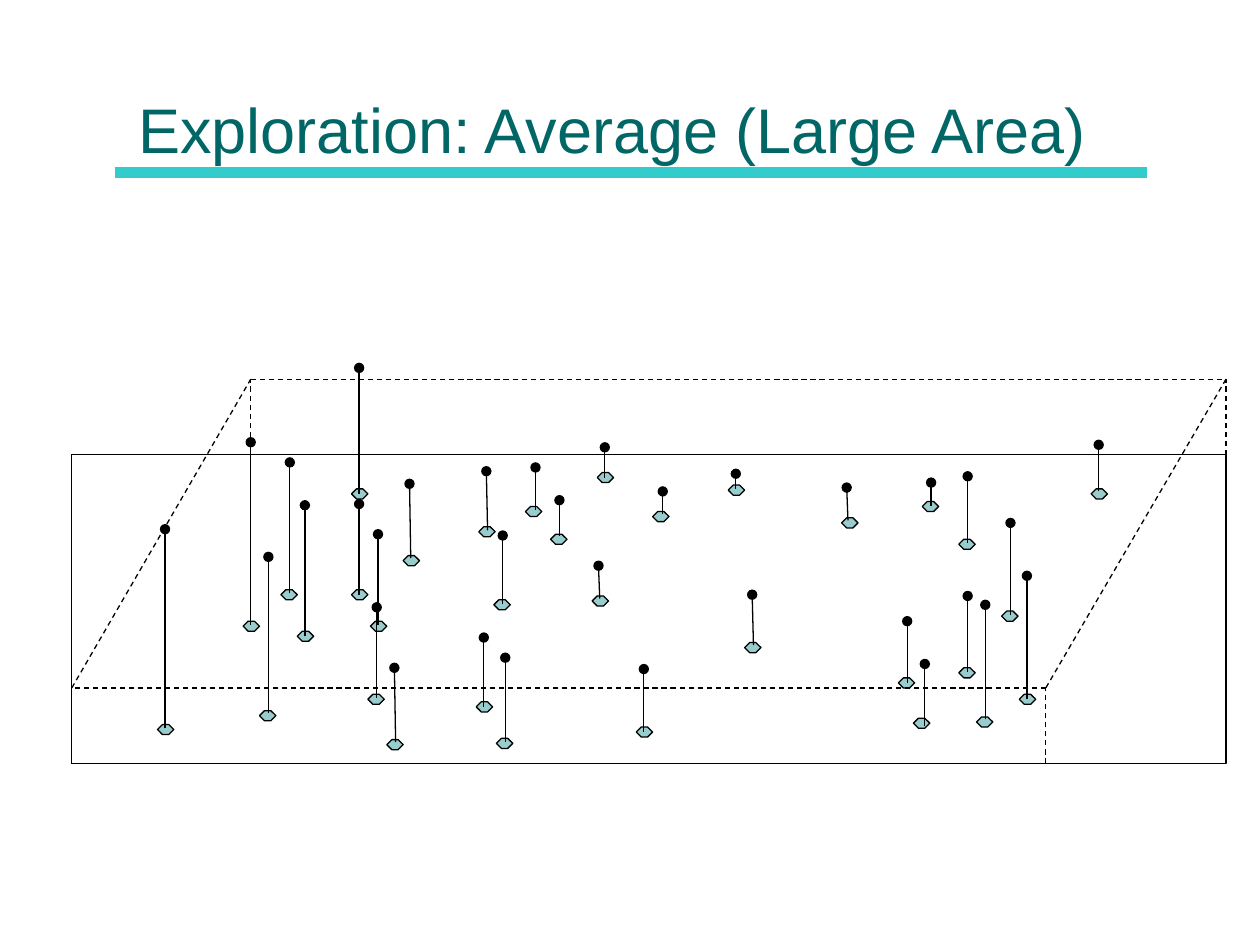
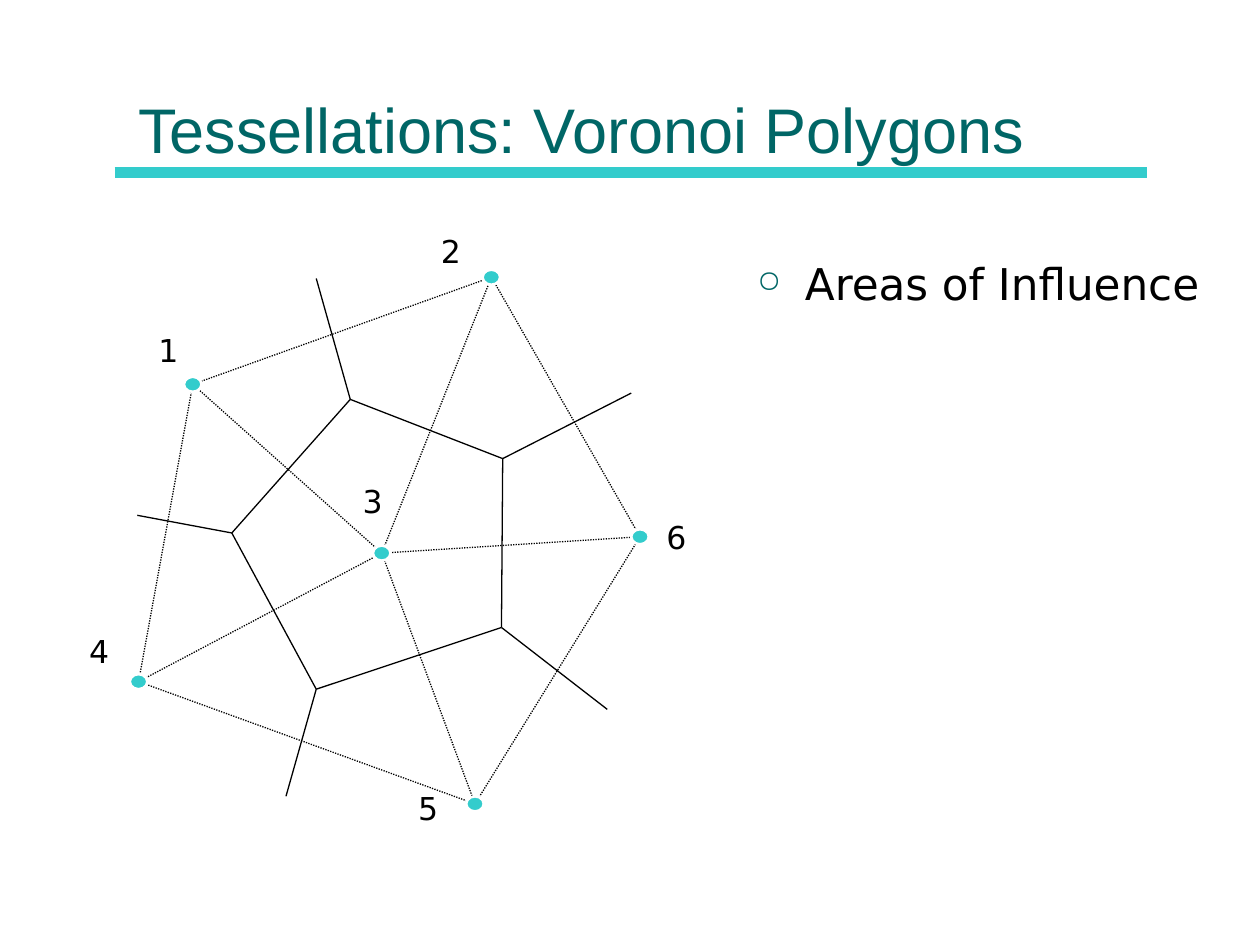
from dataclasses import dataclass

from lxml.etree import SubElement
from pptx import Presentation
from pptx.dml.color import RGBColor
from pptx.enum.dml import MSO_LINE as Dash
from pptx.enum.shapes import MSO_CONNECTOR as Connector, MSO_SHAPE as Shape
from pptx.enum.text import MSO_ANCHOR as Anchor
from pptx.oxml.ns import qn
from pptx.util import Inches, Pt


@dataclass(frozen=True)
class Theme:
    ink: str = "000000"
    paper: str = "FFFFFF"
    title: str = "006666"
    accent: str = "33CCCC"
    marker: str = "99CCCC"
    title_font: str = "Arial"
    body_font: str = "DejaVu Sans"
    title_size: float = 36
    body_size: float = 25
    label_size: float = 18
    thin: float = 0.75
    rim: float = 1.5
    rule: float = 6


@dataclass(frozen=True)
class Box:
    left: float
    top: float
    width: float
    height: float

    def at(self, point):
        return self.left + point[0], self.top + point[1]

    def inner(self, left, top, width, height):
        return Box(*self.at((left, top)), width, height)

    def lengths(self):
        return [Inches(v) for v in (self.left, self.top, self.width, self.height)]


THEME = Theme()
TITLE_BOX = Box(1, 0.12, 8, 1.25)
FIELD_BOX = Box(0.5, 2.5, 9.3, 3.6)
VORONOI_BOX = Box(0.6, 1.7, 5, 5)
NOTES_BOX = Box(5.91, 1.99, 3.92, 4.5)

# MARKER_SIZE
MARKER_SIZE = (0.13, 0.08)
SITE_SIZE = (0.14, 0.12)
LABEL_SIZE = (0.34, 0.4)

DRILL_HOLES = [
    ((0.75, 3.25), (0.81, 3.28), (0.81, 1.7)),
    ((1.43, 2.43), (1.49, 2.46), (1.49, 1.01)),
    ((1.56, 3.14), (1.63, 3.16), (1.63, 1.92)),
    ((1.73, 2.18), (1.8, 2.21), (1.8, 1.17)),
    ((1.86, 2.51), (1.92, 2.55), (1.92, 1.51)),
    ((2.29, 2.18), (2.35, 2.22), (2.35, 1.5)),
    ((2.29, 1.38), (2.35, 1.42), (2.35, 0.42)),
    ((2.44, 2.43), (2.5, 2.46), (2.5, 1.74)),
    ((2.42, 3.01), (2.49, 3.04), (2.49, 2.32)),
    ((2.57, 3.37), (2.64, 3.39), (2.63, 2.8)),
    ((2.7, 1.91), (2.76, 1.93), (2.75, 1.34)),
    ((3.3, 1.68), (3.37, 1.71), (3.36, 1.24)),
    ((3.42, 2.26), (3.49, 2.29), (3.49, 1.75)),
    ((3.28, 3.07), (3.34, 3.11), (3.34, 2.56)),
    ((3.44, 3.36), (3.51, 3.39), (3.51, 2.72)),
    ((4.55, 3.27), (4.61, 3.31), (4.61, 2.81)),
    ((3.67, 1.52), (3.75, 1.55), (3.75, 1.21)),
    ((3.87, 1.74), (3.94, 1.75), (3.94, 1.47)),
    ((4.24, 1.25), (4.3, 1.29), (4.3, 1.05)),
    ((4.68, 1.56), (4.76, 1.58), (4.76, 1.4)),
    ((5.28, 1.35), (5.34, 1.38), (5.34, 1.26)),
    ((6.18, 1.61), (6.23, 1.63), (6.22, 1.37)),
    ((4.2, 2.23), (4.26, 2.25), (4.25, 1.99)),
    ((5.41, 2.6), (5.48, 2.62), (5.47, 2.22)),
    ((6.63, 2.88), (6.7, 2.92), (6.7, 2.43)),
    ((6.75, 3.2), (6.84, 3.26), (6.84, 2.77)),
    ((7.11, 2.8), (7.18, 2.83), (7.18, 2.23)),
    ((7.25, 3.19), (7.32, 3.21), (7.32, 2.3)),
    ((7.59, 3.01), (7.65, 3.05), (7.65, 2.07)),
    ((7.45, 2.35), (7.52, 2.38), (7.52, 1.65)),
    ((7.11, 1.78), (7.18, 1.81), (7.18, 1.28)),
    ((6.82, 1.48), (6.89, 1.52), (6.89, 1.33)),
    ((8.16, 1.38), (8.22, 1.4), (8.22, 1.03)),
]
LID_CORNERS = [(1.49, 0.51), (9.23, 0.51), (7.8, 2.96), (0.07, 2.96)]
BLOCK_DEPTH = 0.6

SITES = {
    "1": ((0.93, 1.35), (0.56, 0.88)),
    "2": ((3.3, 0.5), (2.8, 0.09)),
    "3": ((2.43, 2.69), (2.18, 2.08)),
    "4": ((0.5, 3.71), (0.01, 3.27)),
    "5": ((3.17, 4.68), (2.62, 4.51)),
    "6": ((4.48, 2.56), (4.59, 2.36)),
}
NEIGHBOURS = ["45", "56", "62", "21", "14", "35", "36", "34", "31", "32"]
CELL_CORNERS = [
    ((1.24, 2.53), (0.49, 2.39)),
    ((2.18, 1.47), (1.91, 0.51)),
    ((3.39, 1.94), (4.41, 1.42)),
    ((3.38, 3.28), (4.22, 3.93)),
    ((1.91, 3.77), (1.67, 4.62)),
]


def rgb(value):
    return RGBColor.from_string(value)


def add_text(slide, box, text, *, size, font=THEME.body_font, color=THEME.ink,
             anchor=Anchor.TOP, wrap=True, bullet=None):
    frame = slide.shapes.add_textbox(*box.lengths()).text_frame
    frame.word_wrap = wrap
    frame.vertical_anchor = anchor
    paragraph = frame.paragraphs[0]
    paragraph.text = text
    if bullet:
        props = paragraph._p.get_or_add_pPr()
        props.set("marL", str(Inches(0.38)))
        props.set("indent", str(Inches(-0.38)))
        bullet_color = SubElement(props, qn("a:buClr"))
        SubElement(bullet_color, qn("a:srgbClr"), val=THEME.title)
        SubElement(props, qn("a:buSzPct"), val="70000")
        SubElement(props, qn("a:buChar"), char=bullet)
    paragraph.font.size = Pt(size)
    paragraph.font.name = font
    paragraph.font.color.rgb = rgb(color)


def add_line(slide, start, end, *, color=THEME.ink, width=THEME.thin,
             dash=None, tail=None):
    line = slide.shapes.add_connector(
        Connector.STRAIGHT, *[Inches(v) for v in (*start, *end)])
    line.line.color.rgb = rgb(color)
    line.line.width = Pt(width)
    if dash:
        line.line.dash_style = dash
    props = line._element.spPr
    if tail:
        SubElement(props.find(qn("a:ln")), qn("a:tailEnd"), type=tail)
    SubElement(props, qn("a:effectLst"))


def add_figure(slide, kind, box, *, fill=None, outline=THEME.ink, width=THEME.thin):
    figure = slide.shapes.add_shape(kind, *box.lengths())
    figure.shadow.inherit = False
    if fill:
        figure.fill.solid()
        figure.fill.fore_color.rgb = rgb(fill)
    else:
        figure.fill.background()
    figure.line.color.rgb = rgb(outline)
    figure.line.width = Pt(width)
    return figure


def closed_loop(points):
    return zip(points, points[1:] + points[:1])


def add_titled_slide(deck, title):
    slide = deck.slides.add_slide(deck.slide_layouts[6])
    slide.background.fill.solid()
    slide.background.fill.fore_color.rgb = rgb(THEME.paper)
    add_line(slide, (0.91, 1.37), (9.1, 1.37), color=THEME.accent, width=THEME.rule)
    add_text(slide, TITLE_BOX, title, size=THEME.title_size,
             font=THEME.title_font, color=THEME.title, anchor=Anchor.BOTTOM)
    return slide


def draw_block(slide, box):
    for start, end in closed_loop(LID_CORNERS):
        add_line(slide, box.at(start), box.at(end), dash=Dash.DASH)
    for x, y in LID_CORNERS:
        add_line(slide, box.at((x, y + BLOCK_DEPTH)), box.at((x, y)), dash=Dash.DASH)


def draw_drill_field(slide, box):
    add_figure(slide, Shape.RECTANGLE, box.inner(0.07, 1.11, 9.16, 2.45))
    for marker, _, _ in DRILL_HOLES:
        collar = add_figure(slide, Shape.OCTAGON, box.inner(*marker, *MARKER_SIZE),
                            fill=THEME.marker)
        collar.adjustments[0] = 0.5
    for _, foot, head in DRILL_HOLES:
        add_line(slide, box.at(foot), box.at(head), tail="oval")
    draw_block(slide, box)


def draw_voronoi(slide, box):
    for first, second in NEIGHBOURS:
        add_line(slide, box.at(SITES[first][0]), box.at(SITES[second][0]),
                 dash=Dash.ROUND_DOT)
    width, height = SITE_SIZE
    for number, ((x, y), label) in SITES.items():
        add_figure(slide, Shape.OVAL,
                   box.inner(x - width / 2, y - height / 2, width, height),
                   fill=THEME.accent, outline=THEME.paper, width=THEME.rim)
        add_text(slide, box.inner(*label, *LABEL_SIZE), number,
                 size=THEME.label_size, wrap=False)
    for start, end in closed_loop([corner for corner, _ in CELL_CORNERS]):
        add_line(slide, box.at(start), box.at(end))
    for corner, ray_end in CELL_CORNERS:
        add_line(slide, box.at(corner), box.at(ray_end))


def main():
    deck = Presentation()
    deck.slide_width, deck.slide_height = Inches(10), Inches(7.5)

    exploration = add_titled_slide(deck, "Exploration: Average (Large Area)")
    draw_drill_field(exploration, FIELD_BOX)

    tessellations = add_titled_slide(deck, "Tessellations: Voronoi Polygons")
    draw_voronoi(tessellations, VORONOI_BOX)
    add_text(tessellations, NOTES_BOX, "Areas of Influence",
             size=THEME.body_size, bullet="○")

    deck.save("out.pptx")


if __name__ == "__main__":
    main()
